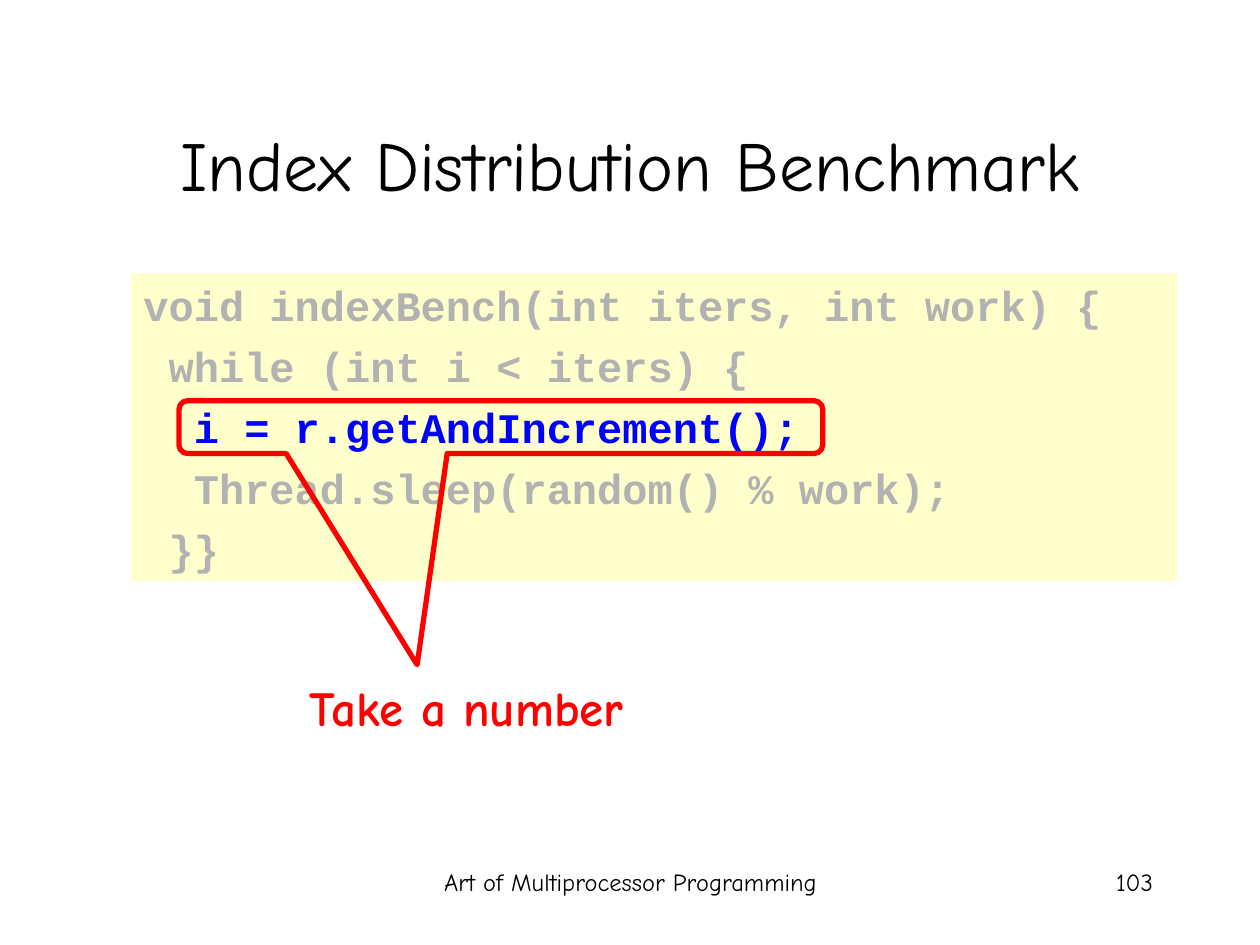
from dataclasses import dataclass

from pptx import Presentation
from pptx.dml.color import RGBColor
from pptx.enum.shapes import MSO_SHAPE as Shape
from pptx.enum.text import MSO_ANCHOR as Anchor, PP_ALIGN as Align
from pptx.util import Inches, Pt


@dataclass(frozen=True)
class Theme:
    text_font: str = "Comic Neue"
    code_font: str = "Courier New"
    ink: RGBColor = RGBColor(0, 0, 0)
    paper: RGBColor = RGBColor(0xFF, 0xFF, 0xFF)
    code_fill: RGBColor = RGBColor(0xFF, 0xFF, 0xCC)
    muted: RGBColor = RGBColor(0xB2, 0xB2, 0xB2)
    active: RGBColor = RGBColor(0, 0, 0xFF)
    accent: RGBColor = RGBColor(0xFF, 0, 0)
    title_size: Pt = Pt(40)
    note_size: Pt = Pt(28)
    code_size: Pt = Pt(24)
    footer_size: Pt = Pt(14)
    line_gap: Pt = Pt(6)
    callout_line: Pt = Pt(3)


THEME = Theme()

CODE = [
    "void indexBench(int iters, int work) {",
    " while (int i < iters) {",
    "  i = r.getAndIncrement();",
    "  Thread.sleep(random() % work);",
    " }}",
]
ACTIVE_LINE = 2


def inches(*box):
    return [Inches(length) for length in box]


def style(paragraph, size, color, align=Align.LEFT, font=THEME.text_font, bold=False):
    paragraph.alignment = align
    paragraph.font.name = font
    paragraph.font.size = size
    paragraph.font.bold = bold
    paragraph.font.color.rgb = color


def add_panel(slide, box, fill):
    """Add a borderless filled rectangle with top-anchored text."""
    panel = slide.shapes.add_shape(Shape.RECTANGLE, *inches(*box))
    panel.shadow.inherit = False
    panel.fill.solid()
    panel.fill.fore_color.rgb = fill
    panel.line.fill.background()
    panel.text_frame.word_wrap = True
    panel.text_frame.vertical_anchor = Anchor.TOP
    return panel


def set_title(slide, box, text):
    title = slide.shapes.title
    title.left, title.top, title.width, title.height = inches(*box)
    title.text_frame.text = text
    title.text_frame.vertical_anchor = Anchor.MIDDLE
    style(title.text_frame.paragraphs[0], THEME.title_size, THEME.ink, Align.CENTER)


def add_code(slide, box):
    frame = add_panel(slide, box, THEME.code_fill).text_frame
    frame.text = "\n".join(CODE)
    for number, line in enumerate(frame.paragraphs):
        color = THEME.active if number == ACTIVE_LINE else THEME.muted
        style(line, THEME.code_size, color, font=THEME.code_font, bold=True)
        line.space_before = THEME.line_gap if number else Pt(0)


def add_callout(slide, box, tip):
    """Outline a box; tip is the pointer's offset from its centre, in box sizes."""
    callout = slide.shapes.add_shape(Shape.ROUNDED_RECTANGULAR_CALLOUT, *inches(*box))
    callout.shadow.inherit = False
    callout.adjustments[0], callout.adjustments[1] = tip
    callout.fill.background()
    callout.line.color.rgb = THEME.accent
    callout.line.width = THEME.callout_line


def add_note(slide, box, text):
    frame = add_panel(slide, box, THEME.paper).text_frame
    frame.text = text
    style(frame.paragraphs[0], THEME.note_size, THEME.accent, Align.CENTER, bold=True)


def add_footer(slide, box, text, align):
    frame = slide.shapes.add_textbox(*inches(*box)).text_frame
    frame.word_wrap = True
    frame.text = text
    style(frame.paragraphs[0], THEME.footer_size, THEME.ink, align)


def main():
    deck = Presentation()
    deck.slide_width, deck.slide_height = inches(10, 7.5)
    slide = deck.slides.add_slide(deck.slide_layouts[5])

    set_title(slide, (0.75, 0.67, 8.5, 1.25), "Index Distribution Benchmark")
    add_code(slide, (1.04, 2.17, 8.3, 2.44))
    add_callout(slide, (1.42, 3.18, 5.11, 0.42), tip=(-0.13, 4.49))
    add_note(slide, (1.33, 5.33, 4.75, 0.57), "Take a number")
    add_footer(slide, (3.42, 6.83, 3.17, 0.5), "Art of Multiprocessor Programming", Align.CENTER)
    add_footer(slide, (7.17, 6.83, 2.08, 0.5), "103", Align.RIGHT)

    deck.save("out.pptx")


if __name__ == "__main__":
    main()
